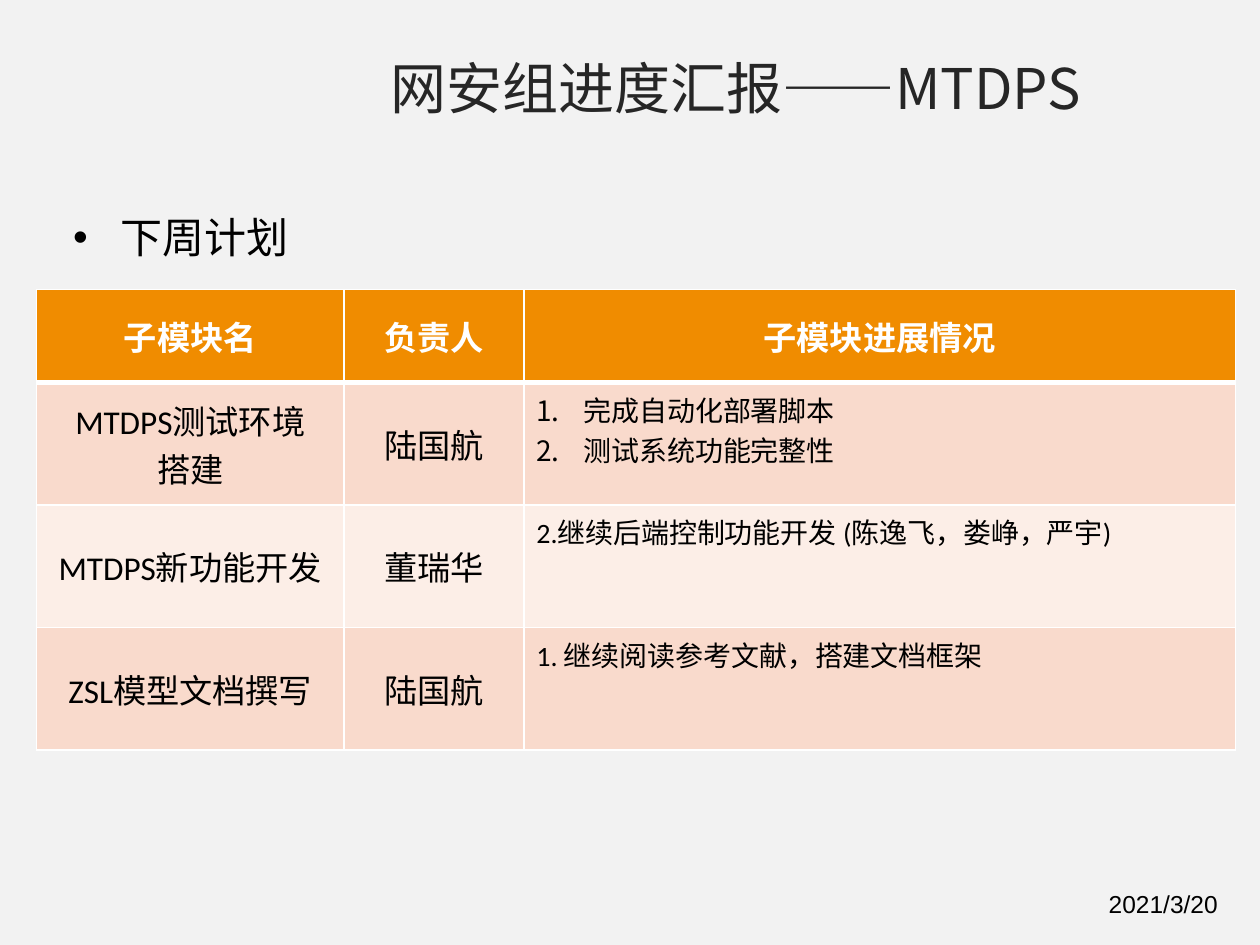
import pptx
import pptx.dml.color
import pptx.enum.text
import pptx.oxml.ns
import pptx.util
from lxml import etree

Cm = pptx.util.Cm
Pt = pptx.util.Pt
RGBColor = pptx.dml.color.RGBColor
ALIGN = pptx.enum.text.PP_ALIGN
ANCHOR = pptx.enum.text.MSO_ANCHOR

BACKGROUND = RGBColor(0xF2, 0xF2, 0xF2)
TITLE = RGBColor(0x26, 0x26, 0x26)
BLACK = RGBColor(0, 0, 0)
WHITE = RGBColor(0xFF, 0xFF, 0xFF)
ORANGE = RGBColor(0xF0, 0x8C, 0x00)
BANDS = (RGBColor(0xF9, 0xDA, 0xCC), RGBColor(0xFC, 0xEE, 0xE7))
CJK_FONT = "Noto Sans CJK SC"
INDENT = Cm(0.95)


def sub(parent, tag, **attrs):
    el = etree.SubElement(parent, pptx.oxml.ns.qn(tag))
    for name, value in attrs.items():
        el.set(name, str(value))
    return el


class Deck:
    def __init__(self):
        self.prs = pptx.Presentation()
        self.prs.slide_width, self.prs.slide_height = Cm(25.4), Cm(19.05)
        self.s = self.prs.slides.add_slide(self.prs.slide_layouts[1])
        fill = self.s.background.fill
        fill.solid()
        fill.fore_color.rgb = BACKGROUND

    def place(self, sp, left, top, width, height):
        sp.left, sp.top, sp.width, sp.height = map(Cm, (left, top, width, height))

    def run(self, p, text, size, color, font=CJK_FONT, bold=False):
        r = p.add_run()
        r.text = text
        r.font.size, r.font.bold, r.font.name = Pt(size), bold, font
        r.font.color.rgb = color
        sub(r.font._element, "a:ea", typeface=CJK_FONT)

    def hang(self, p, tag, **attrs):
        pPr = p._p.get_or_add_pPr()
        pPr.set("marL", str(INDENT))
        pPr.set("indent", str(-INDENT))
        sub(pPr, "a:buFont", typeface="Arial" if tag == "a:buChar" else "+mj-lt")
        sub(pPr, tag, **attrs)

    def title(self, text, *box):
        sp = self.s.shapes.title
        self.place(sp, *box)
        tf = sp.text_frame
        tf.word_wrap = False
        tf.vertical_anchor = ANCHOR.MIDDLE
        p = tf.paragraphs[0]
        p.alignment = ALIGN.LEFT
        self.run(p, text, 32, TITLE)

    def body(self, text, *box):
        sp = self.s.placeholders[1]
        self.place(sp, *box)
        p = sp.text_frame.paragraphs[0]
        self.hang(p, "a:buChar", char="•")
        p.space_before = Pt(0)
        self.run(p, text, 24, BLACK)

    def text(self, text, *box):
        sp = self.s.shapes.add_textbox(*map(Cm, box))
        sp.text_frame.word_wrap = True
        self.run(sp.text_frame.paragraphs[0], text, 14, BLACK, "Arial")

    def cell(self, cell, row, col, lines):
        header, details = row == 0, row > 0 and col == 2
        # Borders come before the fill; the header rule is thicker
        tcPr = cell._tc.get_or_add_tcPr()
        thick = {(0, "B"), (1, "T")}
        for side in "LRTB":
            width = Pt(3 if (row, side) in thick else 1)
            ln = sub(tcPr, f"a:ln{side}", w=width)
            sub(sub(ln, "a:solidFill"), "a:srgbClr", val=WHITE)
        cell.fill.solid()
        cell.fill.fore_color.rgb = ORANGE if header else BANDS[(row - 1) % 2]

        cell.vertical_anchor = ANCHOR.TOP if details else ANCHOR.MIDDLE
        tf = cell.text_frame
        for i, line in enumerate(lines):
            p = tf.add_paragraph() if i else tf.paragraphs[0]
            p.alignment = ALIGN.LEFT if details else ALIGN.CENTER
            if details and len(lines) > 1:
                self.hang(p, "a:buAutoNum", type="arabicPeriod")
            self.run(p, line, 16 if details else 19,
                     WHITE if header else BLACK, "Calibri", header)

    def table(self, rows, left, top, widths, heights):
        box = map(Cm, (left, top, sum(widths), sum(heights)))
        table = self.s.shapes.add_table(len(rows), len(widths), *box).table
        table.first_row = table.horz_banding = False
        for column, width in zip(table.columns, widths):
            column.width = Cm(width)
        for i, (row, height) in enumerate(zip(rows, heights)):
            table.rows[i].height = Cm(height)
            for j, lines in enumerate(row):
                self.cell(table.cell(i, j), i, j, lines)


def main():
    deck = Deck()

    # Heading and section
    deck.title("网安组进度汇报——MTDPS", 7.62, 0.94, 14.94, 1.63)
    deck.body("下周计划", 1.22, 4.14, 6.93, 1.65)

    # Plan: each cell is a list of paragraphs
    plan = [
        (["子模块名"], ["负责人"], ["子模块进展情况"]),
        (["MTDPS测试环境", "搭建"], ["陆国航"],
         ["完成自动化部署脚本", "测试系统功能完整性"]),
        (["MTDPS新功能开发"], ["董瑞华"],
         ["2.继续后端控制功能开发 (陈逸飞，娄峥，严宇)"]),
        (["ZSL模型文档撰写"], ["陆国航"],
         ["1. 继续阅读参考文献，搭建文档框架"]),
    ]
    deck.table(plan, 0.74, 5.84, (6.19, 3.63, 14.35), (1.87, 2.47, 2.47, 2.47))

    # Date
    deck.text("2021/3/20", 22.1, 17.8, 3.3, 0.86)

    deck.prs.save("out.pptx")


if __name__ == "__main__":
    main()
